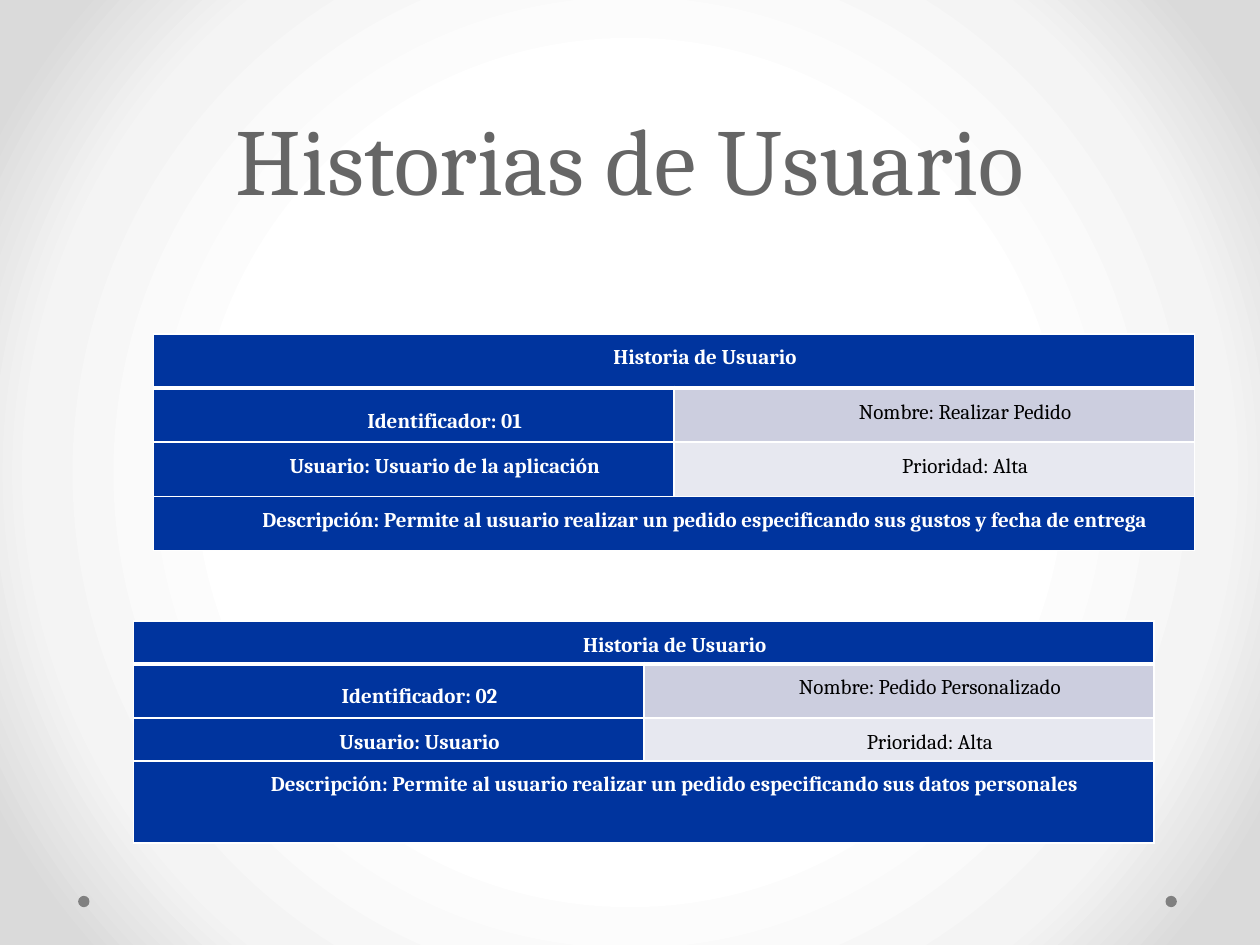
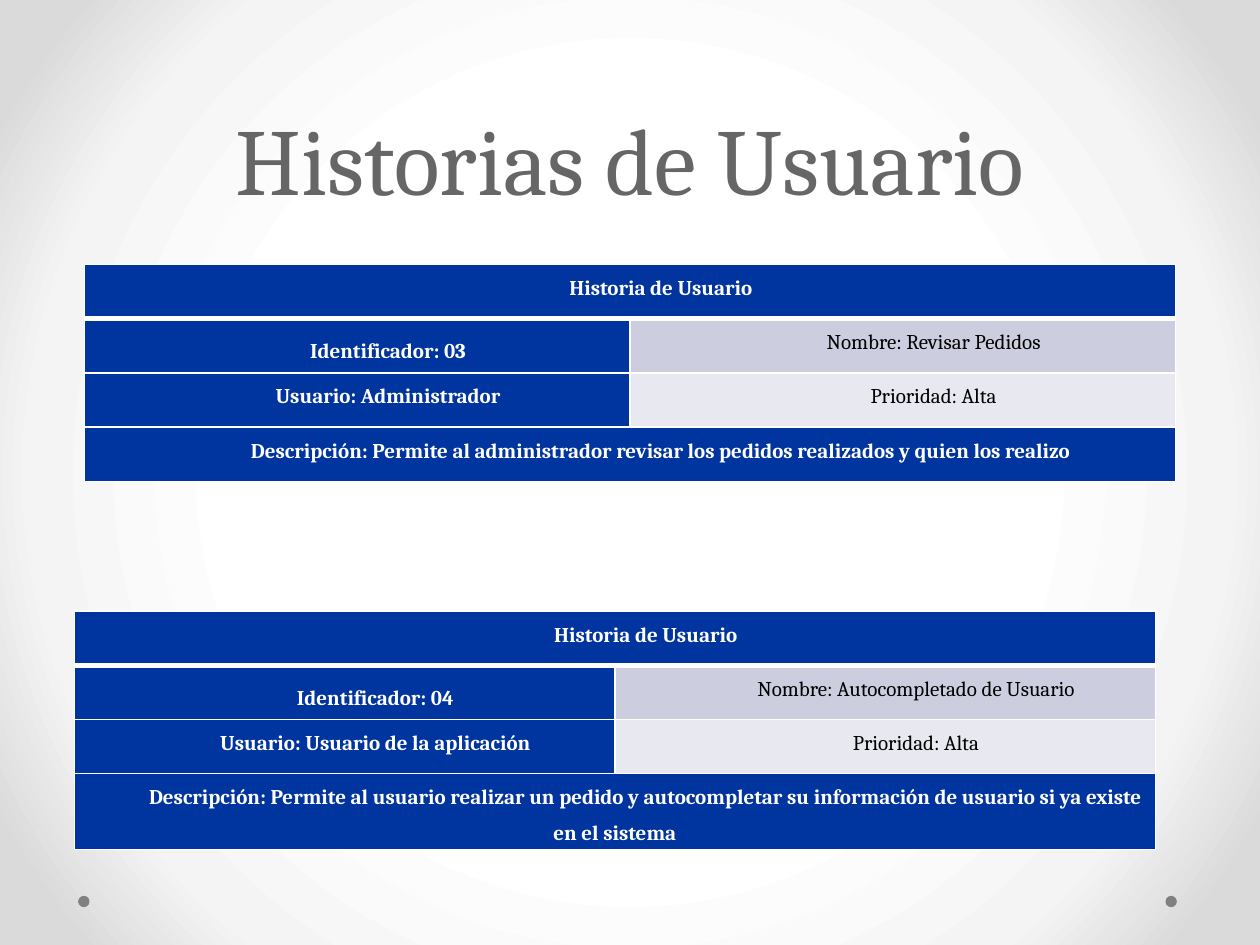
import pptx
import pptx.util
import pptx.dml.color
import pptx.enum.shapes
import pptx.enum.text
import pptx.oxml
import pptx.oxml.ns

Inches = pptx.util.Inches
Pt = pptx.util.Pt
RGBColor = pptx.dml.color.RGBColor
Align = pptx.enum.text.PP_ALIGN
Anchor = pptx.enum.text.MSO_ANCHOR

BLUE = RGBColor(0x00, 0x34, 0x9E)
LILAC = RGBColor(0xCC, 0xCE, 0xDF)
PALE = RGBColor(0xE7, 0xE8, 0xF0)
WHITE = RGBColor(0xFF, 0xFF, 0xFF)
BLACK = RGBColor(0x00, 0x00, 0x00)
GREY = RGBColor(0x66, 0x66, 0x66)
DOT = RGBColor(0x80, 0x80, 0x80)
GLOW = [(50, WHITE), (76, RGBColor(0xF4, 0xF4, 0xF4)), (92, RGBColor(0xDA, 0xDA, 0xDA))]
FONT = "Cambria"
SPACE = pptx.oxml.ns.nsdecls("a")


def write(para, text, size, color, bold=False):
    """Add one centred run to a paragraph."""
    para.alignment = Align.CENTER
    run = para.add_run()
    run.text = text
    run.font.name = FONT
    run.font.size = Pt(size)
    run.font.bold = bold
    run.font.color.rgb = color


def paint(cell, fill, top, bottom):
    """Fill a cell and give it white borders; top and bottom are in points."""
    cell.fill.solid()
    cell.fill.fore_color.rgb = fill
    props = cell._tc.get_or_add_tcPr()
    sides = [("lnL", 1), ("lnR", 1), ("lnT", top), ("lnB", bottom)]
    for spot, (side, width) in enumerate(sides):
        props.insert(spot, pptx.oxml.parse_xml(
            f'<a:{side} {SPACE} w="{Pt(width)}"><a:solidFill>'
            f'<a:srgbClr val="{WHITE}"/></a:solidFill></a:{side}>'))


# Each story: left, top, column width, row heights, number, name, user, description
EVEN = [0.43] * 4
SLIDES = [
    [
        (1.22, 2.65, 4.13, EVEN, "01", "Realizar Pedido", "Usuario de la aplicación",
         "Permite al usuario realizar un pedido especificando sus gustos y fecha de entrega"),
        (1.06, 4.93, 4.05, [0.34, 0.43, 0.34, 0.65], "02", "Pedido Personalizado", "Usuario",
         "Permite al usuario realizar un pedido especificando sus datos personales"),
    ],
    [
        (0.67, 2.1, 4.33, EVEN, "03", "Revisar Pedidos", "Administrador",
         "Permite al administrador revisar los pedidos realizados y quien los realizo"),
        (0.59, 4.85, 4.29, EVEN, "04", "Autocompletado de Usuario", "Usuario de la aplicación",
         "Permite al usuario realizar un pedido y autocompletar su información "
         "de usuario si ya existe en el sistema"),
    ],
]

deck = pptx.Presentation()
deck.slide_width = Inches(10)
deck.slide_height = Inches(7.5)

# The radial background belongs to the master
master = deck.slide_master
master.background.fill.gradient()
old = master.element.xpath("p:cSld/p:bg//a:gradFill")[0]
stops = "".join(f'<a:gs pos="{pos * 1000}"><a:srgbClr val="{color}"/></a:gs>'
                for pos, color in GLOW)
old.getparent().replace(old, pptx.oxml.parse_xml(
    f'<a:gradFill {SPACE} rotWithShape="1"><a:gsLst>{stops}</a:gsLst><a:path path="circle">'
    '<a:fillToRect l="50000" t="50000" r="50000" b="50000"/></a:path></a:gradFill>'))

for stories in SLIDES:
    slide = deck.slides.add_slide(deck.slide_layouts[6])

    for left in (9.25, 0.62):
        dot = slide.shapes.add_shape(pptx.enum.shapes.MSO_SHAPE.OVAL, Inches(left),
                                     Inches(7.11), Inches(0.09), Inches(0.09))
        dot.shadow.inherit = False
        dot.fill.solid()
        dot.fill.fore_color.rgb = DOT
        dot.line.fill.background()

    title = slide.shapes.add_textbox(Inches(0.5), 0, Inches(9), Inches(1.75)).text_frame
    title.word_wrap = True
    title.vertical_anchor = Anchor.BOTTOM
    title.paragraphs[0].line_spacing = Pt(58)
    write(title.paragraphs[0], "Historias de Usuario", 54, GREY)

    for left, top, width, heights, number, name, user, about in stories:
        table = slide.shapes.add_table(4, 2, Inches(left), Inches(top), Inches(2 * width),
                                       Inches(sum(heights))).table
        for col in table.columns:
            col.width = Inches(width)
        for row, height in zip(table.rows, heights):
            row.height = Inches(height)

        texts = [
            ["Historia de Usuario", None],
            [f"Identificador: {number}", f"Nombre: {name}"],
            [f"Usuario: {user}", "Prioridad: Alta"],
            [f"Descripción: {about}", None],
        ]
        fills = [BLUE, LILAC, PALE, BLUE]
        for r, pair in enumerate(texts):
            if pair[1] is None:
                table.cell(r, 0).merge(table.cell(r, 1))
            for c, text in enumerate(pair):
                cell = table.cell(r, c)
                paint(cell, fills[r] if c else BLUE, 3 if r == 1 else 1, 3 if r == 0 else 1)
                if text is None:
                    continue
                cell.margin_left = cell.margin_right = Inches(0.07)
                cell.margin_top = cell.margin_bottom = 0
                para = cell.text_frame.paragraphs[0]
                para.line_spacing = 1.5
                para._p.get_or_add_pPr().set("indent", str(Inches(0.49)))
                write(para, text, 12, BLACK if c else WHITE, bold=c == 0)
        table.cell(1, 0).vertical_anchor = Anchor.MIDDLE

deck.save("out.pptx")
